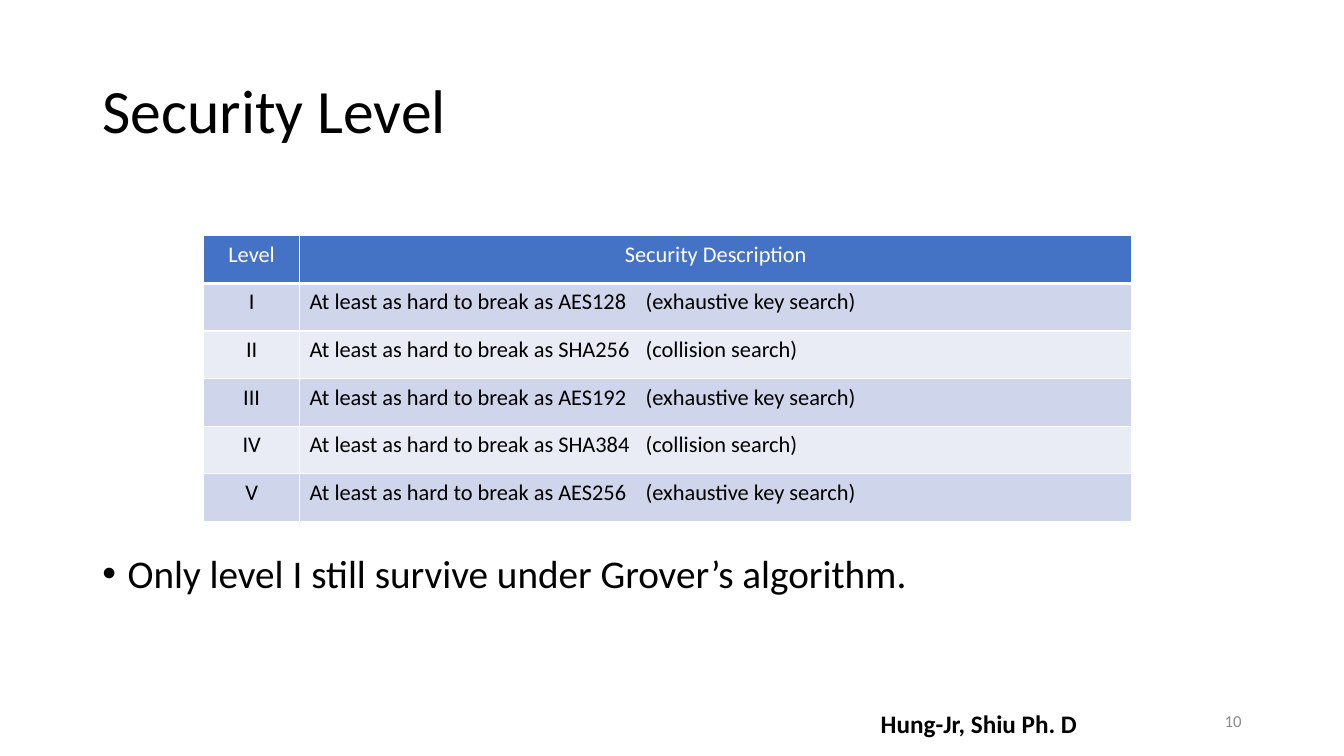
from lxml import etree
from pptx import Presentation
from pptx.dml.color import RGBColor
from pptx.enum.text import MSO_ANCHOR, MSO_AUTO_SIZE, PP_ALIGN
from pptx.oxml.ns import qn
from pptx.util import Pt

LEFT, CENTER, RIGHT = PP_ALIGN.LEFT, PP_ALIGN.CENTER, PP_ALIGN.RIGHT
MIDDLE, TOP = MSO_ANCHOR.MIDDLE, MSO_ANCHOR.TOP
NO_AUTOFIT = MSO_AUTO_SIZE.NONE
FONT = "Calibri"
COLORS = {
    "text": "000000",
    "white": "FFFFFF",
    "number": "8C8C8C",
    "header": "4472C4",
    "odd": "CFD5EA",
    "even": "E9EBF5",
}
LEVELS = [
    ("Level", "Security Description"),
    ("I", "At least as hard to break as AES128\t(exhaustive key search)"),
    ("II", "At least as hard to break as SHA256\t(collision search)"),
    ("III", "At least as hard to break as AES192\t(exhaustive key search)"),
    ("IV", "At least as hard to break as SHA384\t(collision search)"),
    ("V", "At least as hard to break as AES256\t(exhaustive key search)"),
]


def write(text_frame, text, size, color="text", align=LEFT, bold=False):
    """Set one formatted paragraph and return it."""
    text_frame.text = text
    paragraph = text_frame.paragraphs[0]
    paragraph.alignment = align
    for run in paragraph.runs:
        run.font.name = FONT
        run.font.size = Pt(size)
        run.font.bold = bold
        run.font.color.rgb = RGBColor.from_string(COLORS[color])
    return paragraph


def place(shape, box):
    """Move a shape to a box of left, top, width and height in points."""
    shape.left, shape.top, shape.width, shape.height = map(Pt, box)


def add_title(slide, box):
    """Fill the title placeholder."""
    title = slide.shapes.title
    place(title, box)
    title.text_frame.vertical_anchor = MIDDLE
    title.text_frame.auto_size = NO_AUTOFIT
    write(title.text_frame, "Security Level", 44).line_spacing = 0.9


def add_conclusion(slide, box):
    """Fill the body placeholder with its bullet."""
    body = slide.placeholders[1]
    place(body, box)
    body.text_frame.vertical_anchor = TOP
    body.text_frame.auto_size = NO_AUTOFIT
    paragraph = write(
        body.text_frame, "Only level I still survive under Grover’s algorithm.", 28
    )
    paragraph.line_spacing = 0.9
    paragraph.space_before = Pt(10)
    properties = paragraph._p.get_or_add_pPr()
    properties.set("marL", str(Pt(18)))
    properties.set("indent", str(Pt(-18)))
    etree.SubElement(properties, qn("a:buChar")).set("char", "•")


def set_borders(cell, bottom_width, top_width):
    """Draw white lines around a table cell."""
    properties = cell._tc.get_or_add_tcPr()
    widths = {"lnL": 1, "lnR": 1, "lnT": top_width, "lnB": bottom_width}
    for index, (side, width) in enumerate(widths.items()):
        line = etree.Element(qn(f"a:{side}"), w=str(Pt(width)))
        fill = etree.SubElement(line, qn("a:solidFill"))
        etree.SubElement(fill, qn("a:srgbClr")).set("val", COLORS["white"])
        properties.insert(index, line)


def add_tab_stop(paragraph, position):
    """Add a left tab stop at a position in points."""
    tabs = etree.SubElement(paragraph._p.get_or_add_pPr(), qn("a:tabLst"))
    etree.SubElement(tabs, qn("a:tab"), pos=str(Pt(position)), algn="l")


def add_level_table(slide, box):
    """Add the table of security levels."""
    left, top, width, height = box
    level_width = 68.5
    table = slide.shapes.add_table(len(LEVELS), 2, *map(Pt, box)).table
    table.columns[0].width = Pt(level_width)
    table.columns[1].width = Pt(width - level_width)
    for row, texts in enumerate(LEVELS):
        table.rows[row].height = Pt(height / len(LEVELS))
        header = row == 0
        fill = "header" if header else ("even", "odd")[row % 2]
        for column, text in enumerate(texts):
            cell = table.cell(row, column)
            cell.fill.solid()
            cell.fill.fore_color.rgb = RGBColor.from_string(COLORS[fill])
            set_borders(cell, 3 if header else 1, 3 if row == 1 else 1)
            paragraph = write(
                cell.text_frame,
                text,
                16,
                "white" if header else "text",
                CENTER if header or column == 0 else LEFT,
            )
            if "\t" in text:
                add_tab_stop(paragraph, 240)


def add_footer(slide, box):
    """Add the author and the slide number within the footer box."""
    left, top, width, height = box
    number = slide.shapes.add_textbox(*map(Pt, (left + 56, top, width - 56, height)))
    number.text_frame.word_wrap = True
    number.text_frame.vertical_anchor = MIDDLE
    write(number.text_frame, "10", 12, "number", RIGHT)
    author = slide.shapes.add_textbox(*map(Pt, (left, top + 2, 156, height)))
    author.text_frame.word_wrap = False
    write(author.text_frame, "Hung-Jr, Shiu Ph. D", 18, bold=True)


def main():
    """Build and save the presentation."""
    presentation = Presentation()
    presentation.slide_width, presentation.slide_height = Pt(960), Pt(540)
    slide = presentation.slides.add_slide(presentation.slide_layouts[1])
    add_title(slide, (66, 28.8, 828, 104.4))
    add_footer(slide, (622, 500.5, 272, 28.8))
    add_level_table(slide, (145.5, 168.5, 663, 204))
    add_conclusion(slide, (66, 392.4, 828, 94.3))
    presentation.save("out.pptx")


if __name__ == "__main__":
    main()
